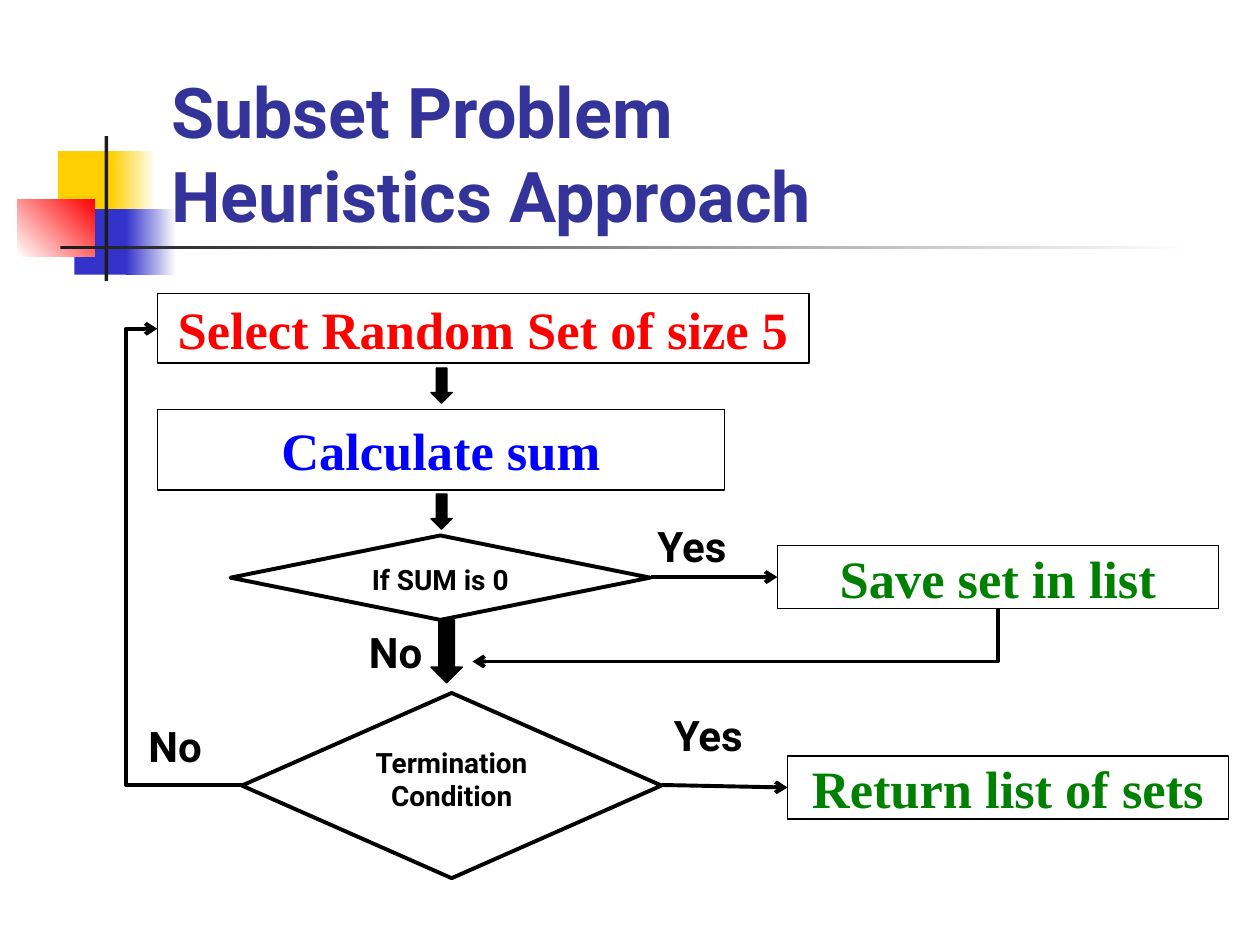
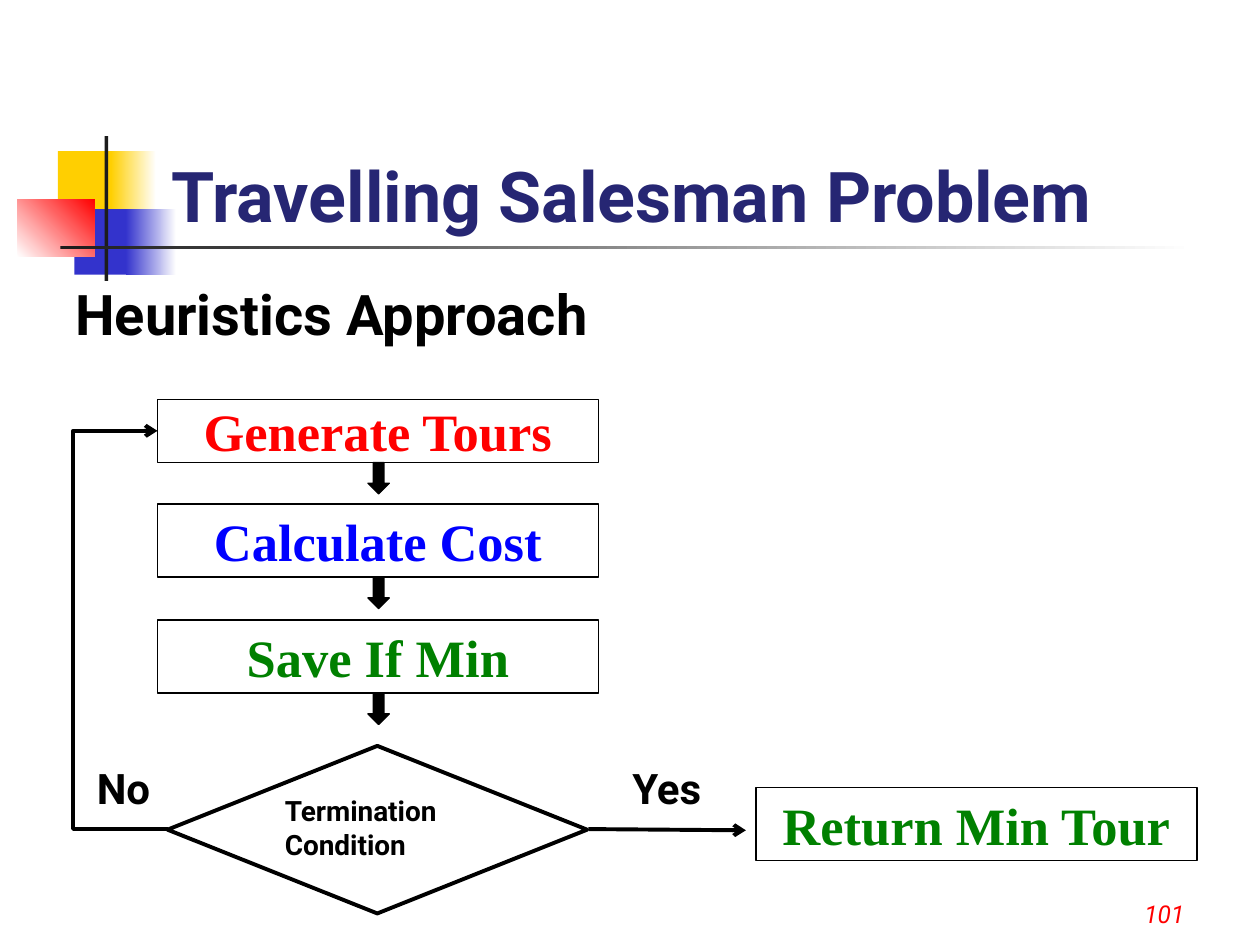
"""Build two flowchart slides on heuristic approaches."""
from dataclasses import dataclass

from lxml import etree
from pptx import Presentation
from pptx.dml.color import RGBColor
from pptx.enum.shapes import MSO_CONNECTOR as Connector, MSO_SHAPE as Shape
from pptx.enum.text import MSO_ANCHOR as Anchor, MSO_AUTO_SIZE as AutoSize, PP_ALIGN as Align
from pptx.oxml.ns import qn
from pptx.util import Inches, Pt


@dataclass(frozen=True)
class Theme:
    black = RGBColor(0, 0, 0)
    white = RGBColor(255, 255, 255)
    red = RGBColor(255, 0, 0)
    blue = RGBColor(0, 0, 255)
    green = RGBColor(0, 128, 0)
    indigo = RGBColor(0x33, 0x33, 0x99)
    navy = RGBColor(0x26, 0x26, 0x73)
    band_yellow = RGBColor(0xFF, 0xCF, 0x01)
    band_blue = RGBColor(0x33, 0x33, 0xCC)
    band_dark = RGBColor(0x1C, 0x1C, 0x1C)
    sans = "Roboto"
    serif = "Times New Roman"
    title_size = 40
    subtitle_size = 32
    step_size = 30
    label_size = 24
    decision_size = 16
    number_size = 14
    thin = Pt(0.75)
    thick = Pt(2.25)


class FlowDeck:
    def __init__(self, theme):
        self.theme = theme
        self.presentation = Presentation()
        self.presentation.slide_width = Inches(10)
        self.presentation.slide_height = Inches(7.5)
        self.slide = None

    def set_text(self, shape, text, size, color, align=Align.LEFT, anchor=Anchor.TOP,
                 font=None, bold=True, italic=False, wrap=False):
        frame = shape.text_frame
        frame.text = text
        frame.word_wrap = wrap
        frame.auto_size = AutoSize.NONE
        frame.vertical_anchor = anchor
        for paragraph in frame.paragraphs:
            paragraph.alignment = align
            for run in paragraph.runs:
                run.font.name = font or self.theme.sans
                run.font.size = Pt(size)
                run.font.bold = bold
                run.font.italic = italic
                run.font.color.rgb = color

    def add_shape(self, kind, left, top, width, height, fill=None, line_width=None):
        shape = self.slide.shapes.add_shape(
            kind, Inches(left), Inches(top), Inches(width), Inches(height))
        shape.shadow.inherit = False
        if fill is None:
            shape.fill.background()
        else:
            shape.fill.solid()
            shape.fill.fore_color.rgb = fill
        if line_width is None:
            shape.line.fill.background()
        else:
            shape.line.color.rgb = self.theme.black
            shape.line.width = line_width
        return shape

    def add_fade(self, left, top, width, height, start, end, angle=0):
        fill = self.add_shape(Shape.RECTANGLE, left, top, width, height).fill
        fill.gradient()
        fill.gradient_angle = angle
        for stop, position, color in zip(fill.gradient_stops, (0, 1), (start, end)):
            stop.position = position
            stop.color.rgb = color

    def add_band(self):
        theme = self.theme
        self.add_shape(Shape.RECTANGLE, 0.46, 1.2, 0.48, 0.52, theme.band_yellow)
        self.add_fade(0.88, 1.2, 0.36, 0.52, theme.band_yellow, theme.white)
        self.add_shape(Shape.RECTANGLE, 0.59, 1.66, 0.46, 0.52, theme.band_blue)
        self.add_fade(1, 1.66, 0.4, 0.52, theme.band_blue, theme.white)
        self.add_fade(0.14, 1.58, 0.61, 0.46, theme.white, theme.red, 45)
        self.add_shape(Shape.RECTANGLE, 0.83, 1.08, 0.03, 1.15, theme.band_dark)
        self.add_fade(0.48, 1.95, 9, 0.03, theme.band_dark, theme.white)

    def start_slide(self, title_text, color):
        self.slide = self.presentation.slides.add_slide(self.presentation.slide_layouts[5])
        self.add_band()
        title = self.slide.shapes.title
        title.left, title.top = Inches(1.26), Inches(0.68)
        title.width, title.height = Inches(8.74), Inches(1.25)
        self.set_text(title, title_text, self.theme.title_size, color,
                      anchor=Anchor.BOTTOM, wrap=True)
        title.element.getparent().append(title.element)

    def add_text(self, text, left, top, width, height, size, color, **style):
        box = self.slide.shapes.add_textbox(
            Inches(left), Inches(top), Inches(width), Inches(height))
        self.set_text(box, text, size, color, **style)

    def add_label(self, text, left, top):
        self.add_text(text, left, top, 0.8, 0.5, self.theme.label_size, self.theme.black)

    def add_step(self, text, left, top, width, height, color):
        shape = self.add_shape(Shape.ROUNDED_RECTANGLE, left, top, width, height,
                               line_width=self.theme.thin)
        shape.adjustments[0] = 0
        self.set_text(shape, text, self.theme.step_size, color, Align.CENTER,
                      Anchor.MIDDLE, self.theme.serif)

    def add_decision(self, text, left, top, height, align=Align.CENTER):
        shape = self.add_shape(Shape.FLOWCHART_DECISION, left, top, 3.33, height,
                               self.theme.white, self.theme.thick)
        self.set_text(shape, text, self.theme.decision_size, self.theme.black, align)

    def add_down_arrow(self, left, top, width, height):
        self.add_shape(Shape.DOWN_ARROW, left, top, width, height,
                       self.theme.black, self.theme.thin)

    def add_arrow(self, start, end, kind=Connector.STRAIGHT):
        connector = self.slide.shapes.add_connector(
            kind, *(Inches(value) for value in (*start, *end)))
        connector.line.color.rgb = self.theme.black
        connector.line.width = self.theme.thick
        properties = connector.element.spPr
        etree.SubElement(properties.find(qn("a:ln")), qn("a:tailEnd"), type="arrow")
        etree.SubElement(properties, qn("a:effectLst"))
        return properties

    def add_loop(self, start, end, lane):
        properties = self.add_arrow(start, end, Connector.ELBOW)
        bend = round(100000 * (start[0] - lane) / (start[0] - end[0]))
        guides = properties.find(qn("a:prstGeom")).find(qn("a:avLst"))
        etree.SubElement(guides, qn("a:gd"), name="adj1", fmla=f"val {bend}")

    def add_corner(self, start, end):
        middle_x, middle_y = (start[0] + end[0]) / 2, (start[1] + end[1]) / 2
        half_width, half_height = (end[1] - start[1]) / 2, (start[0] - end[0]) / 2
        properties = self.add_arrow((middle_x - half_width, middle_y - half_height),
                                    (middle_x + half_width, middle_y + half_height),
                                    Connector.ELBOW)
        properties.find(qn("a:prstGeom")).set("prst", "bentConnector2")
        properties.find(qn("a:xfrm")).set("rot", str(90 * 60000))


def build_subset(deck):
    theme = deck.theme
    deck.start_slide("Subset Problem\vHeuristics Approach", theme.indigo)
    deck.add_step("Select Random Set of size 5", 1.25, 2.33, 5.17, 0.55, theme.red)
    deck.add_step("Calculate sum", 1.25, 3.25, 4.5, 0.64, theme.blue)
    for top in (2.92, 3.92):
        deck.add_down_arrow(3.42, top, 0.17, 0.28)
    deck.add_decision("Termination\nCondition", 1.92, 5.5, 1.47)
    deck.add_loop((1.92, 6.23), (1.25, 2.61), lane=1)
    deck.add_arrow((5.25, 6.23), (6.25, 6.25))
    deck.add_step("Return list of sets", 6.25, 6, 3.5, 0.5, theme.green)
    deck.add_decision("If SUM is 0", 1.83, 4.25, 0.67)
    deck.add_step("Save set in list", 6.17, 4.33, 3.5, 0.5, theme.green)
    deck.add_arrow((5.17, 4.58), (6.17, 4.58))
    deck.add_corner((7.92, 4.83), (3.75, 5.25))
    for text, left, top in (("No", 1.08, 5.67), ("Yes", 5.12, 4.08),
                            ("Yes", 5.25, 5.58), ("No", 2.83, 4.92)):
        deck.add_label(text, left, top)
    deck.add_down_arrow(3.42, 4.92, 0.25, 0.5)


def build_salesman(deck):
    theme = deck.theme
    deck.start_slide("Travelling Salesman Problem", theme.navy)
    deck.add_text("Heuristics Approach", 0.5, 2.17, 9.5, 0.58,
                  theme.subtitle_size, theme.black, wrap=True)
    deck.add_text("101", 7.42, 6.92, 2.08, 0.5, theme.number_size, theme.red,
                  align=Align.RIGHT, anchor=Anchor.BOTTOM, bold=False, italic=True, wrap=True)
    for text, top, height, color in (("Generate Tours", 3.17, 0.5, theme.red),
                                     ("Calculate Cost", 4, 0.58, theme.blue),
                                     ("Save If Min", 4.92, 0.58, theme.green)):
        deck.add_step(text, 1.25, top, 3.5, height, color)
        deck.add_down_arrow(2.92, top + height, 0.17, 0.25)
    deck.add_decision("Termination\nCondition", 1.33, 5.92, 1.33, Align.LEFT)
    deck.add_loop((1.33, 6.58), (1.25, 3.42), lane=0.58)
    deck.add_arrow((4.67, 6.58), (5.92, 6.59))
    deck.add_step("Return Min Tour", 6, 6.25, 3.5, 0.58, theme.green)
    deck.add_label("No", 0.67, 6)
    deck.add_label("Yes", 4.92, 6)


def main():
    deck = FlowDeck(Theme())
    build_subset(deck)
    build_salesman(deck)
    deck.presentation.save("out.pptx")


if __name__ == "__main__":
    main()
